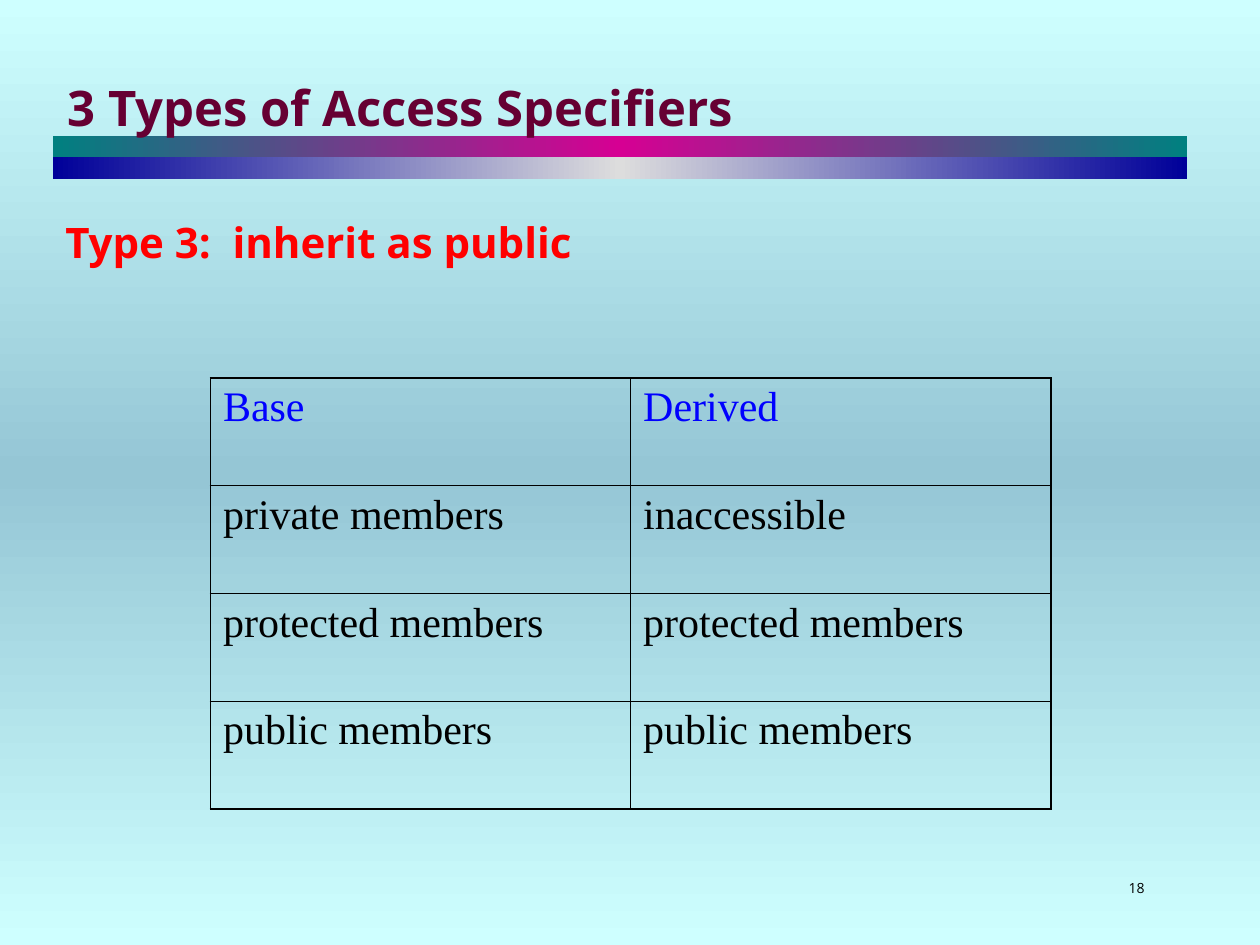
from copy import deepcopy

from pptx import Presentation
from pptx import util as u
from pptx.dml.color import RGBColor
from pptx.enum import shapes, text
from pptx.oxml import parse_xml
from pptx.oxml.ns import nsdecls, qn

SANS, SERIF = "Open Sans", "Times New Roman"
THICK, THIN = 1.08, 0.45
ROWS = [
    ("Base", "Derived"),
    ("private members", "inaccessible"),
    ("protected members", "protected members"),
    ("public members", "public members"),
]


def tint(color, code):
    color.rgb = RGBColor.from_string(code)


def blend(fill, root, edge, mid, angle):
    """Gradient that runs from edge to mid and back to edge."""
    fill.gradient()
    fill.gradient_angle = angle
    stops = next(root.iter(qn("a:gsLst")))
    stops.insert(1, deepcopy(stops[0]))
    for stop, place, code in zip(fill.gradient_stops, (0, 0.5, 1), (edge, mid, edge)):
        stop.position = place
        tint(stop.color, code)


def write(frame, words, size, code, font=SANS, bold=False, space=None,
          anchor=text.MSO_ANCHOR.TOP):
    frame.word_wrap = True
    frame.vertical_anchor = anchor
    para = frame.paragraphs[0]
    para.line_spacing = space
    run = para.add_run()
    run.text = words
    run.font.name, run.font.size, run.font.bold = font, u.Pt(size), bold
    tint(run.font.color, code)


def label(slide, box, words, size, code, **style):
    shape = slide.shapes.add_textbox(*map(u.Inches, box))
    write(shape.text_frame, words, size, code, **style)


def band(slide, top, edge, mid):
    bar = slide.shapes.add_shape(shapes.MSO_SHAPE.RECTANGLE, u.Inches(0.42),
                                 u.Inches(top), u.Inches(9), u.Inches(0.17))
    bar.shadow.inherit = False
    bar.line.fill.background()
    blend(bar.fill, bar.element, edge, mid, 0)


def border(cell, widths):
    props = cell._tc.get_or_add_tcPr()
    for i, (side, width) in enumerate(zip("LRTB", widths)):
        props.insert(i, parse_xml(
            f'<a:ln{side} {nsdecls("a")} w="{u.Pt(width)}"><a:solidFill>'
            f'<a:srgbClr val="000000"/></a:solidFill></a:ln{side}>'))


def grid(slide):
    high, wide = len(ROWS), len(ROWS[0])
    table = slide.shapes.add_table(high, wide, u.Inches(1.67), u.Inches(3),
                                   u.Inches(6.67), u.Inches(3.42)).table
    table.first_row = table.horz_banding = False
    for r, row in enumerate(ROWS):
        for c, words in enumerate(row):
            cell = table.cell(r, c)
            cell.fill.background()
            write(cell.text_frame, words, 24, "000000" if r else "0000FF", font=SERIF)
            outer = (c == 0, c == wide - 1, r == 0, r == high - 1)
            border(cell, [THICK if edge else THIN for edge in outer])


def main():
    deck = Presentation()
    deck.slide_width, deck.slide_height = u.Inches(10), u.Inches(7.5)
    slide = deck.slides.add_slide(deck.slide_layouts[6])

    # Background, page number and the double rule
    blend(slide.background.fill, slide.element, "CEFFFF", "95C6D5", 90)
    label(slide, (8.86, 6.93, 0.76, 0.25), "18", 8, "000000")
    band(slide, 1.08, "008080", "D60093")
    band(slide, 1.25, "000099", "DDDDDD")

    # Headings
    label(slide, (0.44, 0.25, 9.31, 1.25), "3 Types of Access Specifiers", 28, "660033",
          bold=True, space=0.9, anchor=text.MSO_ANCHOR.MIDDLE)
    label(slide, (0.42, 1.67, 9, 5.17), "Type 3:  inherit as public", 24, "FF0000",
          bold=True)

    # Access table
    grid(slide)
    deck.save("out.pptx")


if __name__ == "__main__":
    main()
